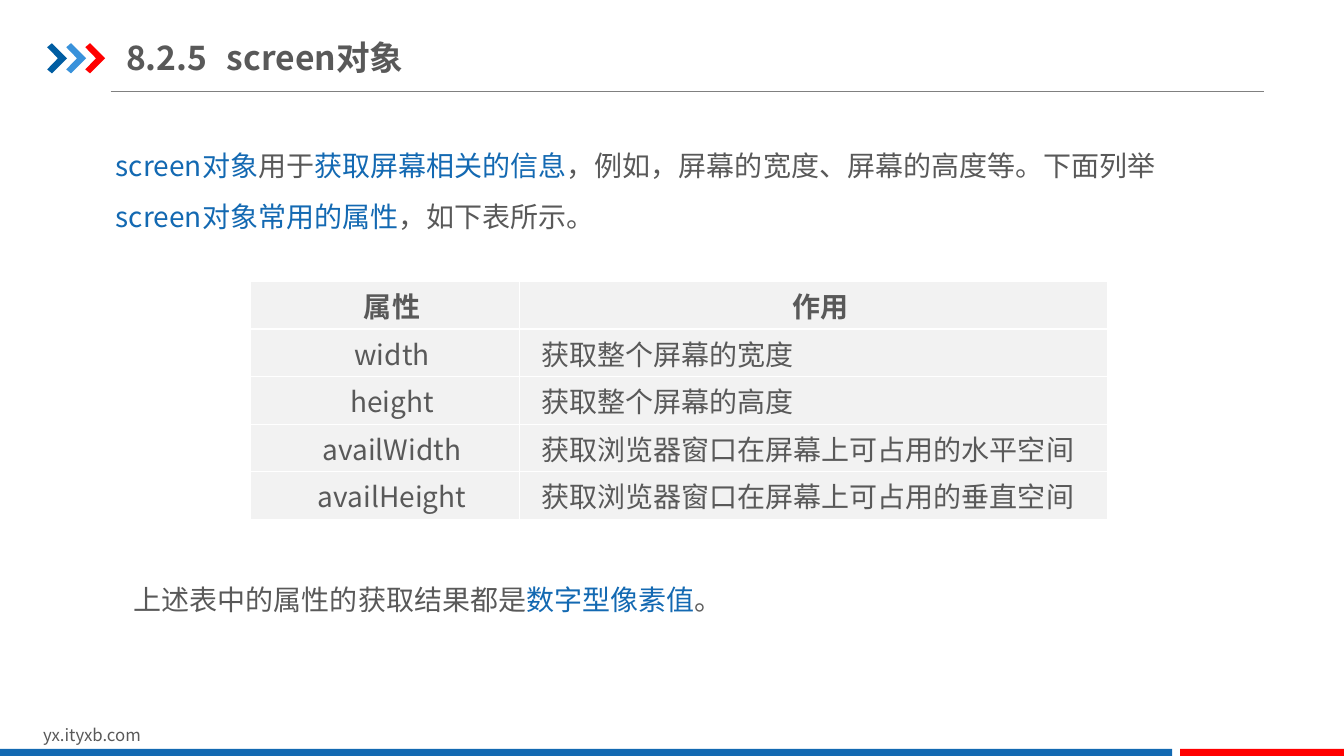
"""Build the slide on the screen object and its common properties."""
import pptx
import pptx.dml.color
import pptx.enum.shapes
import pptx.enum.text
import pptx.oxml
import pptx.oxml.ns
import pptx.util
import lxml.etree

Cm = pptx.util.Cm
FONT = "Noto Sans CJK SC"
COLORS = {
    "text": "595959", "blue": "1369B2", "navy": "005DA2", "sky": "3992DB",
    "red": "FF0000", "rule": "808080", "cell": "F2F2F2", "border": "FFFFFF",
}


def color(name):
    return pptx.dml.color.RGBColor.from_string(COLORS[name])


def write(para, spans, size=20, bold=False):
    for text, name in spans:
        span = para.add_run()
        span.text = text
        span.font.name = FONT
        span.font.size = pptx.util.Pt(size)
        span.font.bold = bold
        span.font.color.rgb = color(name)
        east_asian = lxml.etree.SubElement(span.font._element, pptx.oxml.ns.qn("a:ea"))
        east_asian.set("typeface", FONT)


deck = pptx.Presentation()
deck.slide_width, deck.slide_height = Cm(33.87), Cm(19.05)
page = deck.slides.add_slide(deck.slide_layouts[6])
shapes = page.shapes

rule = shapes.add_connector(
    pptx.enum.shapes.MSO_CONNECTOR.STRAIGHT, Cm(2.79), Cm(2.31), Cm(31.85), Cm(2.31))
rule.line.color.rgb = color("rule")
rule.line.width = pptx.util.Pt(0.75)
lxml.etree.SubElement(rule._element.spPr, pptx.oxml.ns.qn("a:effectLst"))

chevron_points = [(0, 0.1), (0.12, 0), (0.5, 0.38), (0.12, 0.76), (0, 0.66), (0.27, 0.38)]
for index, name in enumerate(["navy", "sky", "red"]):
    left = 1.19 + 0.48 * index
    corners = [(Cm(left + x), Cm(1.09 + y)) for x, y in chevron_points]
    builder = shapes.build_freeform(*corners[0])
    builder.add_line_segments(corners[1:], close=True)
    chevron = builder.convert_to_shape()
    chevron.shadow.inherit = False
    chevron.fill.solid()
    chevron.fill.fore_color.rgb = color(name)
    chevron.line.fill.background()

for left, width, name in [(0, 29.54, "blue"), (29.74, 4.13, "red")]:
    bar = shapes.add_shape(
        pptx.enum.shapes.MSO_SHAPE.RECTANGLE, Cm(left), Cm(18.87), Cm(width), Cm(0.22))
    bar.shadow.inherit = False
    bar.fill.solid()
    bar.fill.fore_color.rgb = color(name)
    bar.line.fill.background()

intro = [
    ("screen对象", "blue"), ("用于", "text"), ("获取屏幕相关的信息", "blue"),
    ("，例如，屏幕的宽度、屏幕的高度等。下面列举", "text"),
    ("screen对象常用的属性", "blue"), ("，如下表所示。", "text"),
]
closing = [("上述表中的属性的获取结果都是", "text"), ("数字型像素值", "blue"), ("。", "text")]
text_boxes = [
    (0.84, 18.14, 8.08, 0.77, 12, 1, True, [("yx.ityxb.com", "text")]),
    (2.67, 3.2, 28.85, 2.82, 20, 1.5, True, intro),
    (3.12, 14.12, 15.47, 1.55, 20, 1.5, False, closing),
]
for left, top, width, height, size, spacing, wrap, spans in text_boxes:
    box = shapes.add_textbox(Cm(left), Cm(top), Cm(width), Cm(height))
    box.text_frame.word_wrap = wrap
    box.text_frame.auto_size = pptx.enum.text.MSO_AUTO_SIZE.SHAPE_TO_FIT_TEXT
    para = box.text_frame.paragraphs[0]
    para.line_spacing = spacing
    write(para, spans, size)

title = shapes.add_textbox(Cm(3.18), Cm(0.74), Cm(10.82), Cm(1.4))
title.text_frame.word_wrap = True
title.text_frame.vertical_anchor = pptx.enum.text.MSO_ANCHOR.MIDDLE
title.text_frame.margin_left = title.text_frame.margin_right = 0
title.text_frame.margin_top = title.text_frame.margin_bottom = Cm(0.18)
write(title.text_frame.paragraphs[0], [("8.2.5\tscreen对象", "text")], 24, True)

properties = [
    ("属性", "作用"),
    ("width", "获取整个屏幕的宽度"),
    ("height", "获取整个屏幕的高度"),
    ("availWidth", "获取浏览器窗口在屏幕上可占用的水平空间"),
    ("availHeight", "获取浏览器窗口在屏幕上可占用的垂直空间"),
]
table = shapes.add_table(
    len(properties), 2, Cm(6.3), Cm(7.09), Cm(21.6), Cm(1.2 * len(properties))).table
table.columns[0].width, table.columns[1].width = Cm(6.8), Cm(14.8)
for row_index, row in enumerate(properties):
    table.rows[row_index].height = Cm(1.2)
    for column_index, text in enumerate(row):
        cell = table.cell(row_index, column_index)
        cell.margin_left = cell.margin_right = Cm(0.18)
        cell.margin_top = cell.margin_bottom = 0
        cell.vertical_anchor = pptx.enum.text.MSO_ANCHOR.MIDDLE
        for side in "LRTB":
            cell._tc.get_or_add_tcPr().append(pptx.oxml.parse_xml(
                f'<a:ln{side} {pptx.oxml.ns.nsdecls("a")} w="12700"><a:solidFill>'
                f'<a:srgbClr val="{COLORS["border"]}"/></a:solidFill></a:ln{side}>'))
        cell.fill.solid()
        cell.fill.fore_color.rgb = color("cell")
        para = cell.text_frame.paragraphs[0]
        para._p.get_or_add_pPr().set("indent", str(Cm(0.36)))
        centred = row_index == 0 or column_index == 0
        para.alignment = pptx.enum.text.PP_ALIGN.CENTER if centred else pptx.enum.text.PP_ALIGN.LEFT
        write(para, [(text, "text")], bold=row_index == 0)

deck.save("out.pptx")
